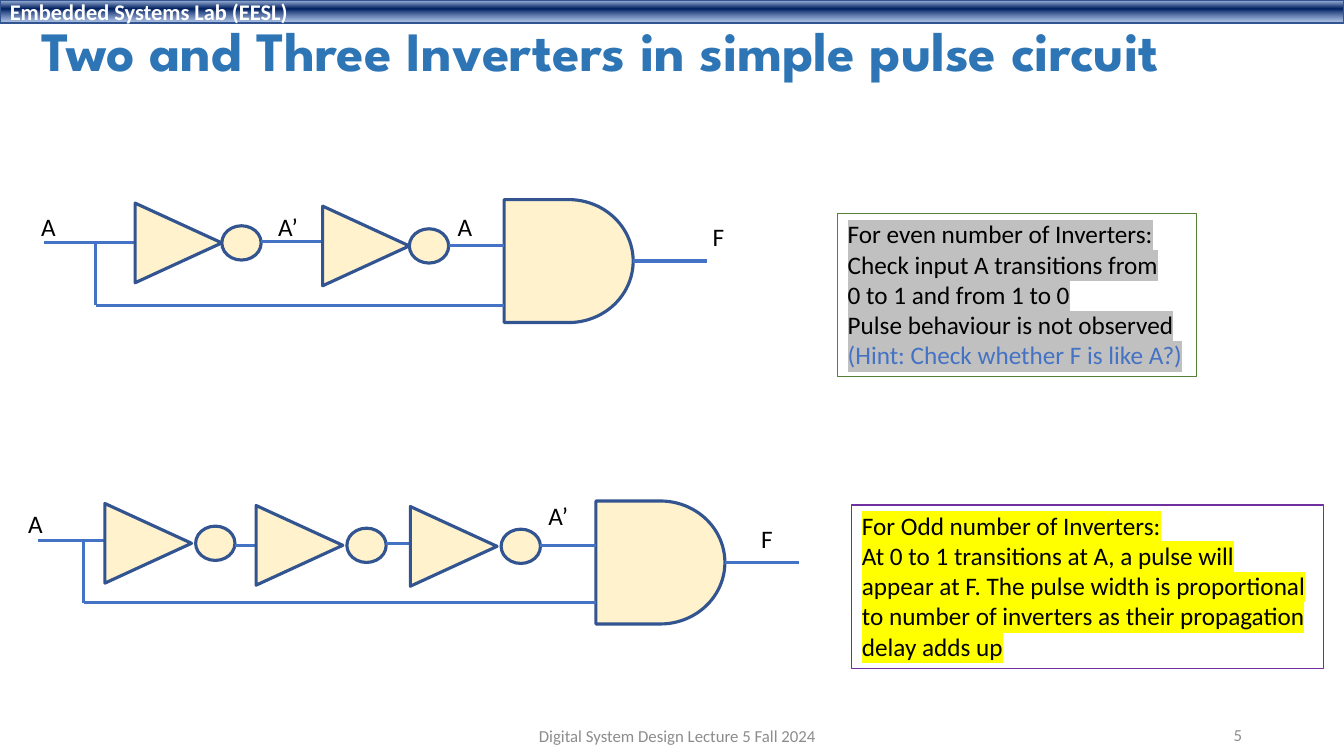
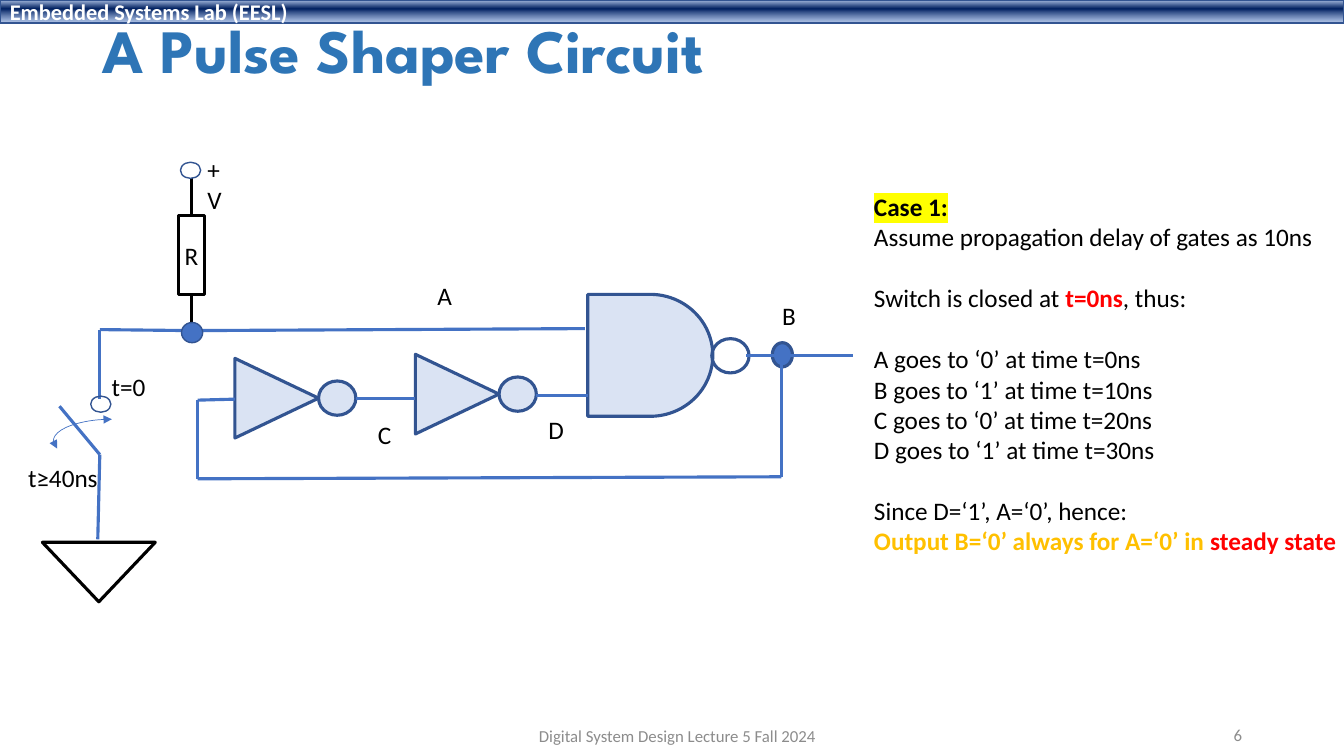
from dataclasses import dataclass
from typing import Any

from lxml.etree import SubElement
from pptx import Presentation
from pptx.dml.color import RGBColor
from pptx.enum.shapes import MSO_CONNECTOR, MSO_SHAPE
from pptx.enum.text import MSO_ANCHOR, MSO_AUTO_SIZE, PP_ALIGN
from pptx.oxml.ns import qn
from pptx.util import Inches, Pt

WIDE, HIGH = 13.33, 7.5
BODY, HEAD = "Calibri", "League Spartan"
BLACK, WHITE, GREY = "000000", "FFFFFF", "8C8C8C"
BLUE, EDGE, TITLE = "4472C4", "325491", "2E75B6"
CREAM, PALE = "FFF2CC", "DAE3F3"
YELLOW, SILVER, RED, GOLD = "FFFF00", "C0C0C0", "FF0000", "FFC000"
PURPLE, GREEN = "7030A0", "548235"


def color(code):
    return RGBColor.from_string(code)


def style(run, size=18, tint=BLACK, bold=False, face=BODY, mark=None):
    font = run.font
    font.size, font.bold, font.name = Pt(size), bold, face
    font.color.rgb = color(tint)
    if mark:
        props = run._r.get_or_add_rPr()
        light = SubElement(props, qn("a:highlight"))
        SubElement(light, qn("a:srgbClr"), val=mark)
        props.find(qn("a:solidFill")).addnext(light)


def write(frame, text, align=PP_ALIGN.LEFT, **look):
    frame.text = text
    for para in frame.paragraphs:
        para.alignment = align
        for run in para.runs:
            style(run, **look)


def extend(para, text, **look):
    run = para.add_run()
    run.text = text
    style(run, **look)


def text_box(shapes, box, text, anchor=MSO_ANCHOR.TOP, **look):
    item = shapes.add_textbox(*map(Inches, box))
    frame = item.text_frame
    frame.word_wrap = True
    frame.margin_right = 0
    frame.vertical_anchor = anchor
    write(frame, text, **look)
    return item


def outline(item, tint, width):
    item.line.color.rgb = color(tint)
    item.line.width = Pt(width)


@dataclass
class Area:
    shapes: Any
    left: float
    top: float

    def spot(self, x, y):
        return Inches(self.left + x), Inches(self.top + y)

    def draw(self, kind, box, fill=None, edge=EDGE, width=2.25, turn=0):
        x, y, wide, high = box
        item = self.shapes.add_shape(
            kind, *self.spot(x, y), Inches(wide), Inches(high))
        item.shadow.inherit = False
        if fill:
            item.fill.solid()
            item.fill.fore_color.rgb = color(fill)
        else:
            item.fill.background()
        outline(item, edge, width)
        item.rotation = turn
        return item

    def wire(self, *points, tint=BLUE):
        for start, end in zip(points, points[1:]):
            line = self.shapes.add_connector(
                MSO_CONNECTOR.STRAIGHT, *self.spot(*start), *self.spot(*end))
            outline(line, tint, 2.25)
            SubElement(line.element.spPr, qn("a:effectLst"))
        return line

    def label(self, text, x, y, wide=0.4, high=0.4):
        box = (self.left + x, self.top + y, wide, high)
        text_box(self.shapes, box, text)

    def invert(self, x, mid, fill, long=0.86, gap=0, ball=0.39):
        side, high = 0.79, 0.34
        box = (x + (long - side) / 2, mid - long / 2, side, long)
        self.draw(MSO_SHAPE.ISOSCELES_TRIANGLE, box, fill, turn=90)
        left = x + long + gap
        self.draw(MSO_SHAPE.OVAL, (left, mid - high / 2, ball, high), fill)
        return left + ball


def group(slide, left, top):
    return Area(slide.shapes.add_group_shape().shapes, left, top)


def chain(slide, left, top, start, tap, level, gates, final, gap, labels):
    area = group(slide, left, top)
    area.draw(MSO_SHAPE.FLOWCHART_DELAY, (final, 0, 1.28, 1.22), CREAM)
    area.wire((start, level), (gates[0][0], level))
    stops = [gate[0] for gate in gates[1:]] + [final]
    for (x, mid, link), stop in zip(gates, stops):
        right = area.invert(x, mid, CREAM, gap=gap)
        area.wire((right, link), (stop, link))
    base = level + 0.62
    area.wire((tap, level), (tap, base), (final, base))
    area.wire((final + 1.28, 0.61), (final + 2.01, 0.61))
    for label in labels:
        area.label(*label)


def supply(area):
    part = area.draw(MSO_SHAPE.RECTANGLE, (1.37, 0.64, 0.26, 0.78), edge=BLACK)
    frame = part.text_frame
    frame.margin_left = frame.margin_right = 0
    frame.vertical_anchor = MSO_ANCHOR.MIDDLE
    write(frame, "R", align=PP_ALIGN.CENTER)
    for site, start, end in ((0, 0.64, 0.27), (2, 1.42, 1.8)):
        lead = area.wire((1.5, start), (1.5, end), tint=BLACK)
        lead.begin_connect(part, site)
    area.draw(MSO_SHAPE.OVAL, (1.39, 0.11, 0.2, 0.16), width=1)
    area.label("+V", 1.56, -0.02, 0.34, 0.7)


def switch(area):
    area.wire((0.19, 2.53), (0.59, 3.01), (0.57, 3.85))
    area.draw(MSO_SHAPE.OVAL, (0.5, 2.43, 0.2, 0.16), width=1)
    area.draw(MSO_SHAPE.ISOSCELES_TRIANGLE, (0.02, 3.88, 1.12, 0.59),
              edge=BLACK, turn=180)
    swing = area.draw(MSO_SHAPE.ARC, (0.13, 2.66, 1.16, 0.43), width=0.5,
                      edge=BLUE)
    for place, angle in enumerate((172, 270)):
        swing.adjustments[place] = angle * 0.6
    line = swing.element.spPr.find(qn("a:ln"))
    for end in ("a:headEnd", "a:tailEnd"):
        SubElement(line, qn(end), type="triangle")
    area.label("t=0", 0.61, 2.13, 0.54)
    area.label("t≥40ns", -0.22, 3.04, 0.9)


def shaper(slide, left, top):
    area = group(slide, left, top)
    supply(area)
    for x, mid in ((1.93, 2.45), (3.72, 2.41)):
        area.invert(x, mid, PALE, long=0.83, ball=0.37)
    area.draw(MSO_SHAPE.FLOWCHART_DELAY, (5.43, 1.42, 1.24, 1.21), PALE)
    area.draw(MSO_SHAPE.OVAL, (6.66, 1.86, 0.37, 0.34))
    area.draw(MSO_SHAPE.OVAL, (7.26, 1.9, 0.2, 0.24), BLUE)
    area.wire((7, 2.03), (8.06, 2.03))
    area.wire((3.13, 2.45), (3.72, 2.45))
    area.wire((4.92, 2.42), (5.43, 2.42))
    area.wire((1.93, 2.46), (1.56, 2.47), (1.56, 3.25), (7.35, 3.23),
              (7.35, 2.03))
    area.wire((5.4, 1.76), (1.5, 1.78), (0.59, 1.77), (0.59, 2.46))
    area.draw(MSO_SHAPE.OVAL, (1.4, 1.7, 0.21, 0.2), BLUE, width=1)
    switch(area)
    for label in (("A", 3.84, 1.23), ("B", 7.26, 1.43),
                  ("C", 3.25, 2.61), ("D", 4.94, 2.56)):
        area.label(*label)


def case(slide, box):
    lines = (
        "Case 1:",
        "Assume propagation delay of gates as 10ns",
        "Switch is closed at ",
        "A goes to ‘0’ at time t=0ns",
        "B goes to ‘1’ at time t=10ns",
        "C goes to ‘0’ at time t=20ns",
        "D goes to ‘1’ at time t=30ns",
        "Since D=‘1’, A=‘0’, hence:",
        "Output B=‘0’ always for A=‘0’ in ",
    )
    item = text_box(slide.shapes, box, "\n".join(lines))
    paras = item.text_frame.paragraphs
    for place in (2, 3, 7):
        paras[place].space_before = Pt(22)
    style(paras[0].runs[0], bold=True, mark=YELLOW)
    extend(paras[2], "t=0ns", tint=RED, bold=True)
    extend(paras[2], ", thus:")
    style(paras[8].runs[0], tint=GOLD, bold=True)
    extend(paras[8], "steady state", tint=RED, bold=True)


def note(slide, box, edge, mark, lines):
    item = text_box(slide.shapes, box, "\n".join(lines), mark=mark)
    outline(item, edge, 0.75)
    return item


def band(slide, layout):
    area = Area(slide.shapes, 0, 0)
    bar = area.draw(MSO_SHAPE.RECTANGLE, (0, 0, WIDE, 0.23), WHITE, width=1)
    bar.fill.gradient()
    bar.fill.gradient_angle = 270
    stops = bar.element.spPr.find(".//" + qn("a:gsLst"))
    stops.clear()
    for place, code, alpha in ((2, "ABC0E4", 100), (38, "002060", 100),
                               (93, "7E9ED6", 64)):
        stop = SubElement(stops, qn("a:gs"), pos=str(place * 1000))
        tone = SubElement(stop, qn("a:srgbClr"), val=code)
        SubElement(tone, qn("a:alpha"), val=str(alpha * 1000))
    frame = bar.text_frame
    frame.vertical_anchor = MSO_ANCHOR.MIDDLE
    write(frame, "Embedded Systems Lab (EESL)", size=16, tint=WHITE, bold=True)
    layout.shapes.element.insert(2, bar.element)


def page(deck, title, left, wide, size, number):
    slide = deck.slides.add_slide(deck.slide_layouts[5])
    head = slide.shapes.title
    head.left, head.top, head.width, head.height = map(
        Inches, (left, 0.15, wide, 0.77))
    frame = head.text_frame
    frame.auto_size = MSO_AUTO_SIZE.NONE
    frame.vertical_anchor = MSO_ANCHOR.MIDDLE
    write(frame, title, size=size, tint=TITLE, bold=True, face=HEAD)
    frame.paragraphs[0].line_spacing = 0.9
    for box, text, align in (
            ((4.42, 7.1, 4.5, 0.4), "Digital System Design Lecture 5 Fall 2024",
             PP_ALIGN.CENTER),
            ((9.42, 7.09, 2.9, 0.4), str(number), PP_ALIGN.RIGHT)):
        text_box(slide.shapes, box, text, MSO_ANCHOR.MIDDLE, align=align,
                 size=12, tint=GREY)
    return slide


def main():
    deck = Presentation()
    deck.slide_width, deck.slide_height = Inches(WIDE), Inches(HIGH)

    slide = page(deck, "Two and Three Inverters in simple pulse circuit",
                 0.31, 12.82, 39.6, 5)
    band(slide, deck.slide_layouts[5])
    chain(slide, 0.31, 1.98, start=0.13, tap=0.64, level=0.43,
          gates=((1.03, 0.43, 0.42), (2.89, 0.46, 0.46)), final=4.69, gap=0,
          labels=(("A", 0, 0.07), ("A’", 2.35, 0.07), ("A", 4.13, 0.07),
                  ("F", 6.66, 0.17)))
    chain(slide, 0.18, 4.97, start=0.2, tap=0.65, level=0.39,
          gates=((0.86, 0.42, 0.44), (2.36, 0.44, 0.42), (3.89, 0.45, 0.44)),
          final=5.73, gap=0.04,
          labels=(("A", 0, 0.02), ("A’", 5.16, -0.06), ("F", 7.27, 0.17)))
    note(slide, (8.45, 5.01, 4.68, 1.62), PURPLE, YELLOW, (
        "For Odd number of Inverters:",
        "At 0 to 1 transitions at A, a pulse will",
        "appear at F. The pulse width is proportional",
        "to number of inverters as their propagation",
        "delay adds up"))
    even = note(slide, (8.31, 2.12, 3.56, 1.62), GREEN, SILVER, (
        "For even number of Inverters:",
        "Check input A transitions from",
        "0 to 1 and from 1 to 0",
        "Pulse behaviour is not observed",
        "(Hint: Check whether F is like A?)"))
    even.text_frame.paragraphs[4].runs[0].font.color.rgb = color(BLUE)

    slide = page(deck, "A Pulse Shaper Circuit", 0.92, 11.5, 44, 6)
    shaper(slide, 0.4, 1.5)
    case(slide, (8.57, 1.85, 4.76, 3.76))
    deck.save("out.pptx")


if __name__ == "__main__":
    main()
